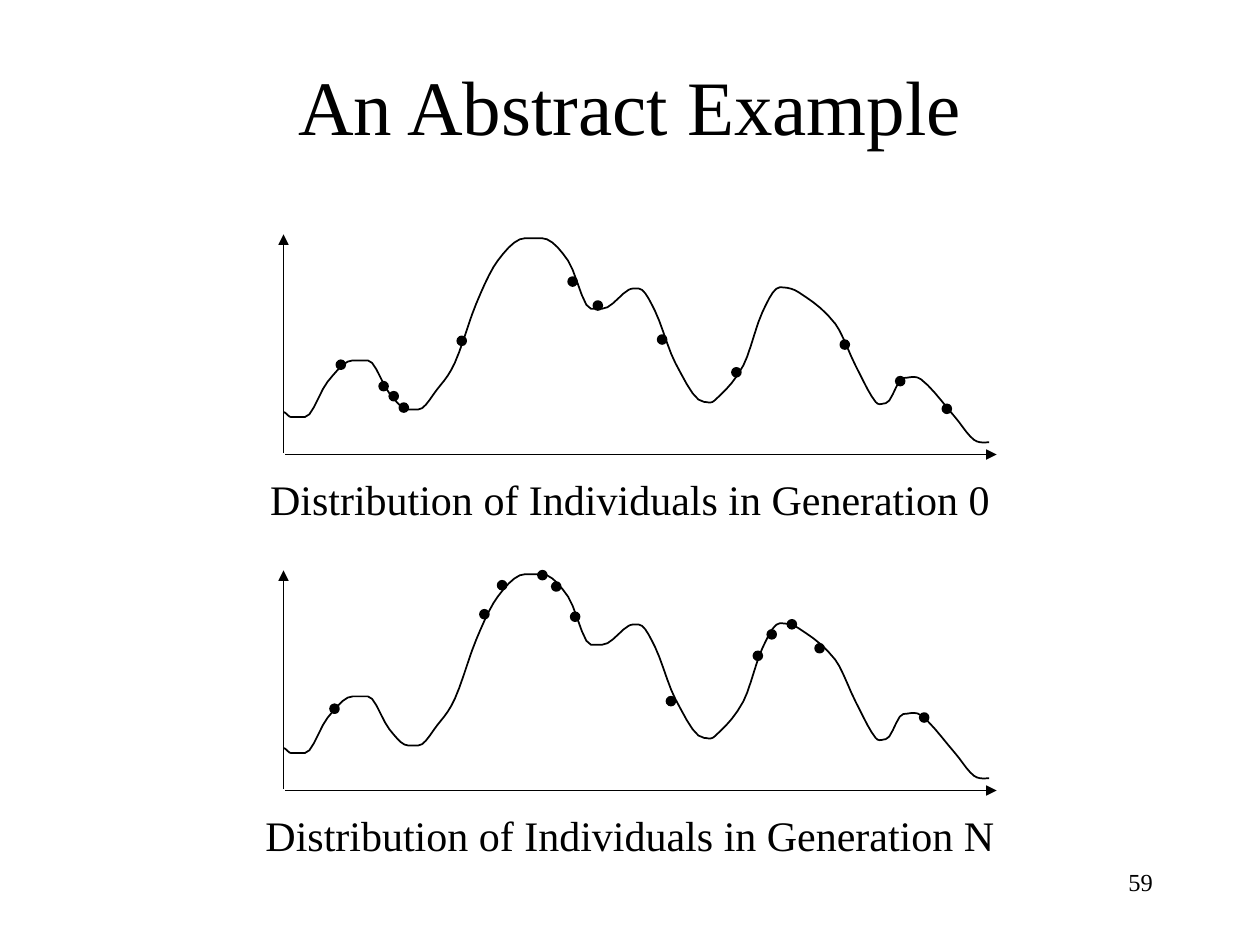
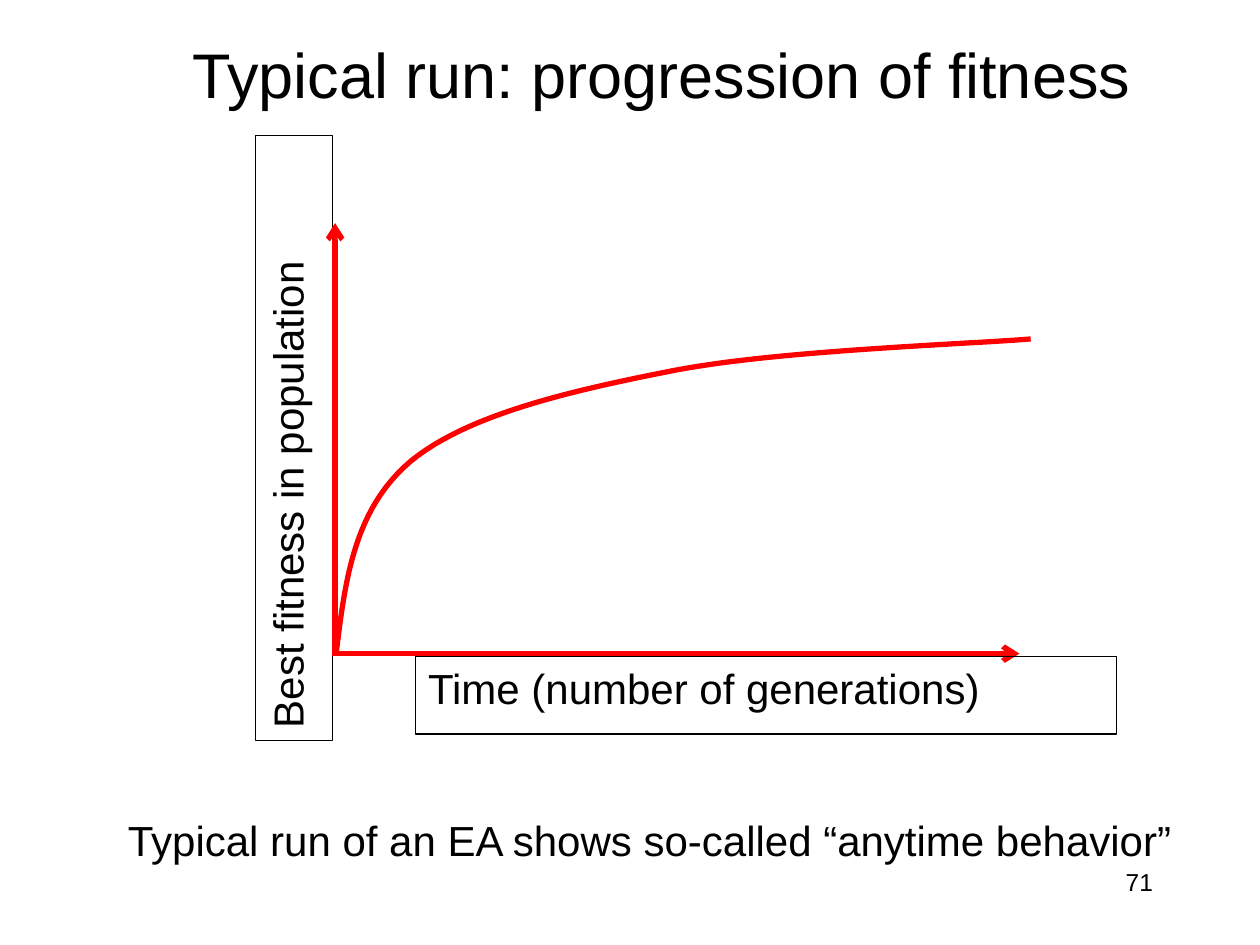
from lxml import etree
from pptx import Presentation
from pptx.dml.color import RGBColor
from pptx.enum.shapes import MSO_CONNECTOR, MSO_SHAPE
from pptx.enum.text import MSO_ANCHOR, MSO_AUTO_SIZE, PP_ALIGN
from pptx.oxml.ns import qn
from pptx.util import Pt

LEFT, CENTER, RIGHT = PP_ALIGN.LEFT, PP_ALIGN.CENTER, PP_ALIGN.RIGHT
TOP, MIDDLE = MSO_ANCHOR.TOP, MSO_ANCHOR.MIDDLE
NO_AUTOFIT = MSO_AUTO_SIZE.NONE
STRAIGHT = MSO_CONNECTOR.STRAIGHT
RECTANGLE, OVAL = MSO_SHAPE.RECTANGLE, MSO_SHAPE.OVAL
TITLE_ONLY = 5

BLACK, RED = "000000", "FF0000"
GRID = 0.72          # points per unit of the curve and dot coordinates
DOT_SIZE = 7         # in grid units
PLOT_DROP = 192      # from the upper plot to the lower one

# Knots of the fitness landscape in the upper plot, in grid units
LANDSCAPE = [
    (225, 327), (231, 331), (242, 331), (260, 303), (280, 286), (292, 286),
    (309, 312), (324, 325), (332, 325), (347, 309), (361, 288), (378, 241),
    (395, 207), (417, 189), (430, 189), (451, 207), (469, 245), (478, 245),
    (499, 230), (507, 229), (520, 247), (536, 288), (559, 319), (567, 318),
    (590, 290), (605, 248), (619, 228), (634, 232), (663, 257), (679, 290),
    (695, 319), (703, 320), (717, 300), (731, 301), (758, 331), (773, 349),
    (785, 351),
]

# Top left corners of the individuals, in grid units on the slide
GENERATIONS = {
    "0": [(363, 267), (267, 286), (301, 303), (309, 311), (317, 320), (471, 239),
          (451, 220), (522, 266), (581, 292), (667, 270), (748, 321), (711, 299)],
    "N": [(730, 566), (647, 511), (625, 492), (609, 500), (598, 517), (529, 553),
          (453, 486), (427, 453), (438, 462), (395, 461), (381, 484), (262, 559)],
}

# Bezier control points of the fitness progress, in grid units
PROGRESS = [(267, 517), (274, 460), (281, 404), (326, 366), (371, 329),
            (453, 310), (535, 294), (617, 278), (771, 273), (818, 269)]


def rgb(color):
    return RGBColor.from_string(color)


def write(frame, text, *, font, size, color=BLACK, align=LEFT, anchor=TOP, wrap=True):
    frame.auto_size = NO_AUTOFIT
    frame.word_wrap = wrap
    frame.vertical_anchor = anchor
    paragraph = frame.paragraphs[0]
    paragraph.alignment = align
    run = paragraph.add_run()
    run.text = text
    run.font.name, run.font.size = font, Pt(size)
    run.font.color.rgb = rgb(color)


def smooth_controls(knots):
    """Bezier controls through the knots, level at each peak and valley."""
    slopes = [0]
    for (x0, y0), (_, y1), (x2, y2) in zip(knots, knots[1:], knots[2:]):
        rising = (y1 - y0) * (y2 - y1) > 0
        slopes.append((y2 - y0) / (x2 - x0) if rising else 0)
    slopes.append(0)
    controls = [knots[0]]
    for i, ((x0, y0), (x1, y1)) in enumerate(zip(knots, knots[1:])):
        third = (x1 - x0) / 3
        controls += [(x0 + third, y0 + slopes[i] * third),
                     (x1 - third, y1 - slopes[i + 1] * third), (x1, y1)]
    return controls


def bezier_points(controls, steps):
    """Follow a chain of cubic curves with short steps."""
    points = [controls[0]]
    for first in range(0, len(controls) - 1, 3):
        curve = controls[first:first + 4]
        for step in range(1, steps + 1):
            t = step / steps
            weights = ((1 - t) ** 3, 3 * t * (1 - t) ** 2, 3 * t * t * (1 - t), t ** 3)
            points.append(tuple(sum(w * p[axis] for w, p in zip(weights, curve))
                                for axis in (0, 1)))
    return points


class Deck:
    """Holds the style and the current slide."""

    def __init__(self):
        self.prs = Presentation()
        self.prs.slide_width, self.prs.slide_height = Pt(720), Pt(540)

    def new_slide(self, title, number, *, font, title_size, title_box):
        slide = self.prs.slides.add_slide(self.prs.slide_layouts[TITLE_ONLY])
        self.shapes = slide.shapes
        self.font = font
        heading = self.shapes.title
        heading.left, heading.top, heading.width, heading.height = map(Pt, title_box)
        write(heading.text_frame, title, font=font, size=title_size,
              align=CENTER, anchor=MIDDLE)
        self.text(number, (516, 492, 150, 36), size=14, align=RIGHT)

    def text(self, words, box, *, size=24, **style):
        label = self.shapes.add_textbox(*map(Pt, box))
        write(label.text_frame, words, font=self.font, size=size, **style)

    def stroke(self, shape, color, width):
        shape.line.color.rgb = rgb(color)
        shape.line.width = Pt(width)

    def arrow(self, start, end, *, color=BLACK, width=1, head="triangle"):
        axis = self.shapes.add_connector(STRAIGHT, *map(Pt, start + end))
        self.stroke(axis, color, width)
        properties = axis.element.spPr
        etree.SubElement(properties.find(qn("a:ln")), qn("a:tailEnd"), type=head)
        etree.SubElement(properties, qn("a:effectLst"))

    def curve(self, controls, *, steps, color=BLACK, width=1, drop=0):
        start, *rest = [(Pt(x * GRID), Pt(y * GRID))
                        for x, y in bezier_points(controls, steps)]
        builder = self.shapes.build_freeform(*start)
        builder.add_line_segments(rest, close=False)
        outline = builder.convert_to_shape(0, Pt(drop))
        outline.shadow.inherit = False
        outline.fill.background()
        self.stroke(outline, color, width)

    def dot(self, x, y):
        individual = self.shapes.add_shape(
            OVAL, *(Pt(value * GRID) for value in (x, y, DOT_SIZE, DOT_SIZE)))
        individual.shadow.inherit = False
        individual.fill.solid()
        individual.fill.fore_color.rgb = rgb(BLACK)
        self.stroke(individual, BLACK, 1)

    def framed_label(self, words, box, rotation=0):
        label = self.shapes.add_shape(RECTANGLE, *map(Pt, box))
        label.shadow.inherit = False
        label.rotation = rotation
        label.fill.background()
        self.stroke(label, BLACK, 0.75)
        write(label.text_frame, words, font=self.font, size=24)


def abstract_example(deck):
    deck.new_slide("An Abstract Example", "59", font="Times New Roman",
                   title_size=44, title_box=(54, 15, 612, 90))
    for row, (generation, individuals) in enumerate(GENERATIONS.items()):
        drop = row * PLOT_DROP
        deck.arrow((162, 259 + drop), (162, 134 + drop))
        deck.arrow((163, 259.75 + drop), (569.5, 259.75 + drop))
        deck.curve(smooth_controls(LANDSCAPE), steps=5, drop=drop)
        deck.text(f"Distribution of Individuals in Generation {generation}",
                  (144, 267 + drop, 432, 36), align=CENTER, wrap=False)
        for x, y in individuals:
            deck.dot(x, y)


def typical_run(deck):
    deck.new_slide("Typical run: progression of fitness", "71", font="Arial",
                   title_size=36, title_box=(87, 15, 582, 54))
    deck.text("Typical run of an EA shows so-called “anytime behavior”",
              (66, 462, 624, 36))
    # Fitness over time, with framed axis labels
    deck.framed_label("Best fitness in population", (-5, 228.25, 346, 44), rotation=270)
    red_line = {"color": RED, "width": 3}
    deck.arrow((190, 373.5), (582.5, 373.5), head="arrow", **red_line)
    deck.curve(PROGRESS, steps=24, **red_line)
    deck.framed_label("Time (number of generations)", (237.5, 375, 400.5, 44.5))
    deck.arrow((191.5, 373), (191.5, 127.5), head="arrow", **red_line)


def main():
    deck = Deck()
    abstract_example(deck)
    typical_run(deck)
    deck.prs.save("out.pptx")


if __name__ == "__main__":
    main()
